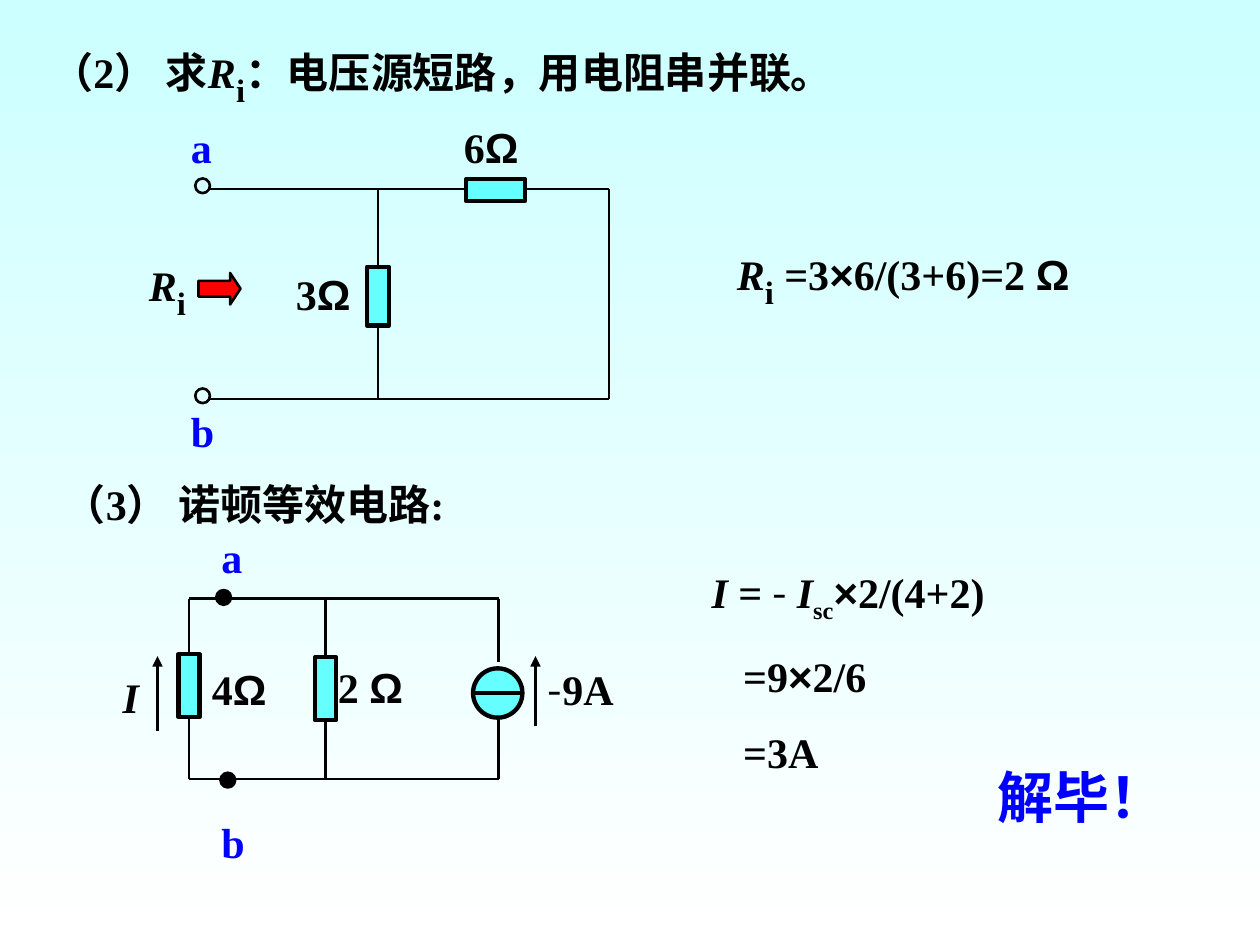
from dataclasses import dataclass

from lxml import etree
from pptx import Presentation
from pptx.dml.color import RGBColor
from pptx.enum.shapes import MSO_CONNECTOR, MSO_SHAPE
from pptx.enum.text import MSO_ANCHOR, MSO_AUTO_SIZE, PP_ALIGN
from pptx.oxml.ns import qn
from pptx.util import Inches, Pt

STRAIGHT = MSO_CONNECTOR.STRAIGHT
RECTANGLE, OVAL, ARROW = MSO_SHAPE.RECTANGLE, MSO_SHAPE.OVAL, MSO_SHAPE.RIGHT_ARROW
TOP, MIDDLE = MSO_ANCHOR.TOP, MSO_ANCHOR.MIDDLE
LEFT, NO_AUTOFIT = PP_ALIGN.LEFT, MSO_AUTO_SIZE.NONE


@dataclass(frozen=True)
class Theme:
    black: str = "000000"
    blue: str = "0000FF"
    red: str = "FF0000"
    cyan: str = "66FFFF"
    sky: str = "CCFFFF"
    white: str = "FFFFFF"
    serif: str = "Times New Roman"
    sans: str = "Arial"
    chinese: str = "Noto Sans CJK SC"
    text: int = 24
    large: int = 32
    wire: float = 1.5
    outline: float = 2.5


theme = Theme()
# Run styles: font, size, bold, italic, baseline
STYLES = {
    "plain": (theme.serif, theme.text, True, False, 0),
    "symbol": (theme.serif, theme.text, True, True, 0),
    "index": (theme.serif, theme.large, True, False, -25000),
    "small index": (theme.serif, theme.text, True, False, -25000),
    "sans": (theme.sans, theme.text, True, False, 0),
    "minus": (theme.chinese, theme.text, False, False, 0),
    "large": (theme.serif, theme.large, True, False, 0),
}

# The grid has 120 columns and 90 rows, each a twelfth of an inch
CELL = Inches(1) / 12


def grid(*cells):
    return [round(cell * CELL) for cell in cells]


def write(shape, paragraphs, color=theme.black, anchor=TOP, indent=0, space=15):
    """Each paragraph is a list of (text, style) runs; indent applies after the first."""
    frame = shape.text_frame
    frame.auto_size, frame.word_wrap, frame.vertical_anchor = NO_AUTOFIT, True, anchor
    for number, runs in enumerate(paragraphs):
        paragraph = frame.add_paragraph() if number else frame.paragraphs[0]
        paragraph.alignment = LEFT
        paragraph.line_spacing = 1.0
        paragraph.space_before = Pt(space if number else 0)
        if number and indent:
            paragraph._p.get_or_add_pPr().set("marL", str(grid(indent)[0]))
        for text, style in runs:
            run = paragraph.add_run()
            run.text = text
            font = run.font
            font.name, size, font.bold, font.italic, baseline = STYLES[style]
            font.size = Pt(size)
            font.color.rgb = RGBColor.from_string(color)
            properties = run._r.get_or_add_rPr()
            if baseline:
                properties.set("baseline", str(baseline))
            etree.SubElement(properties, qn("a:ea")).set("typeface", theme.chinese)


presentation = Presentation()
presentation.slide_width, presentation.slide_height = grid(120, 90)
slide = presentation.slides.add_slide(presentation.slide_layouts[5])

# Background
background = slide.background.fill
background.gradient()
background.gradient_angle = 270
for stop, position, color in zip(background.gradient_stops, (0, 1), (theme.sky, theme.white)):
    stop.position = position
    stop.color.rgb = RGBColor.from_string(color)

# Title
title = slide.shapes.title
title.left, title.top, title.width, title.height = grid(3.7, 2.5, 83, 8.5)
write(title, [[("（2） 求", "plain"), ("R", "symbol"), ("i", "index"),
               ("：电压源短路，用电阻串并联。", "plain")]], anchor=MIDDLE)

# Wires and current arrows: start column, start row, end column, end row, arrowhead
top, bottom = 18, 38
norton_top, norton_bottom = 57, 74.2
wires = [
    (20, top, 44.5, top, False),
    (50, top, 58, top, False),
    (58, top, 58, bottom, False),
    (20, bottom, 58, bottom, False),
    (36, top, 36, 26, False),
    (36, 31, 36, bottom, False),
    (18, norton_top, 47.5, norton_top, False),
    (18, norton_bottom, 47.5, norton_bottom, False),
    (15, 69.6, 15, 62.5, True),
    (51, 69.1, 51, 62.5, True),
]
for column in (18, 31, 47.5):
    wires += [(column, norton_top, column, 63, False),
              (column, 68.4, column, norton_bottom, False)]

# Parts: kind, centre column, centre row, width, height, fill, line width
parts = [
    (ARROW, 20.9, 27.5, 4, 3, theme.red, theme.wire),
    (RECTANGLE, 36, 28.2, 2.1, 5.6, theme.cyan, theme.outline),
    (RECTANGLE, 47.2, 18.1, 5.6, 2.1, theme.cyan, theme.outline),
    (OVAL, 19.3, 17.7, 1.4, 1.4, None, theme.wire),
    (OVAL, 19.3, 37.7, 1.4, 1.4, None, theme.wire),
    (RECTANGLE, 18, 65.3, 2, 6, theme.cyan, theme.outline),
    (RECTANGLE, 31, 65.6, 2, 6, theme.cyan, theme.outline),
    (OVAL, 47.4, 66, 4.7, 4.7, theme.cyan, theme.outline),
    (OVAL, 21.3, 56.9, 1.4, 1.4, theme.black, theme.wire),
    (OVAL, 21.7, 74.3, 1.4, 1.4, theme.black, theme.wire),
]
source_bar = (45.1, 66, 49.8, 66, False)

for group, weight in ((wires, theme.wire), (parts, None), ([source_bar], theme.outline)):
    for item in group:
        if weight is None:
            kind, column, row, width, height, fill, outline = item
            shape = slide.shapes.add_shape(
                kind, *grid(column - width / 2, row - height / 2, width, height))
            shape.shadow.inherit = False
            if kind == ARROW:
                shape.adjustments[1] = 0.33
            if fill:
                shape.fill.solid()
                shape.fill.fore_color.rgb = RGBColor.from_string(fill)
            else:
                shape.fill.background()
            shape.line.width = Pt(outline)
            shape.line.color.rgb = RGBColor.from_string(theme.black)
            continue
        connector = slide.shapes.add_connector(STRAIGHT, *grid(*item[:4]))
        connector.line.width = Pt(weight)
        connector.line.color.rgb = RGBColor.from_string(theme.black)
        shape_properties = connector._element.spPr
        if item[4]:
            head = etree.SubElement(shape_properties.get_or_add_ln(), qn("a:tailEnd"))
            head.set("type", "triangle")
        etree.SubElement(shape_properties, qn("a:effectLst"))

# Terminal labels: text, column, row
for text, column, row in (("a", 17, 11), ("b", 17, 38), ("a", 19.9, 50), ("b", 19.9, 77.2)):
    label = slide.shapes.add_textbox(*grid(column, row, 5, 6))
    write(label, [[(text, "plain")]], color=theme.blue)

# Component values: column, row, width, runs
values = [
    (27, 25, 8, [("3", "plain"), ("Ω", "sans")]),
    (43, 11, 10, [("6", "plain"), ("Ω", "sans")]),
    (19, 62.6, 8, [("4", "plain"), ("Ω", "sans")]),
    (31, 62.4, 15, [("2 ", "plain"), ("Ω", "sans")]),
    (51, 62.6, 14, [("-", "minus"), ("9A", "plain")]),
    (10.5, 63.4, 4.8, [("I", "symbol")]),
]
for column, row, width, runs in values:
    write(slide.shapes.add_textbox(*grid(column, row, width, 6)), [runs])

# Resistance seen from the terminals, and its value
resistance = [("R", "symbol"), ("i", "index")]
calculation = [(" =3", "plain"), ("×", "sans"), ("6/(3+6)=2 ", "plain"), ("Ω", "sans")]
for column, row, width, runs in ((13, 22.8, 7, resistance),
                                 (69, 21.7, 36.7, resistance + calculation)):
    write(slide.shapes.add_textbox(*grid(column, row, width, 8.5)), [runs], anchor=MIDDLE)

# Norton equivalent heading, current calculation and closing remark
write(slide.shapes.add_textbox(*grid(4.9, 45, 43.4, 6)),
      [[("（3） 诺顿等效电路:", "plain")]], anchor=MIDDLE)
write(slide.shapes.add_textbox(*grid(66.6, 53.4, 32.8, 21.2)), [
    [("I", "symbol"), (" = ", "plain"), ("- ", "minus"), ("I", "symbol"),
     ("sc", "small index"), ("×", "sans"), ("2/(4+2)", "plain")],
    [("=9", "plain"), ("×", "sans"), ("2/6", "plain")],
    [("=3A", "plain")],
], anchor=MIDDLE, indent=3)
write(slide.shapes.add_textbox(*grid(93.8, 72, 20.8, 7.7)),
      [[("解毕！", "large")]], color=theme.blue, anchor=MIDDLE)

presentation.save("out.pptx")
